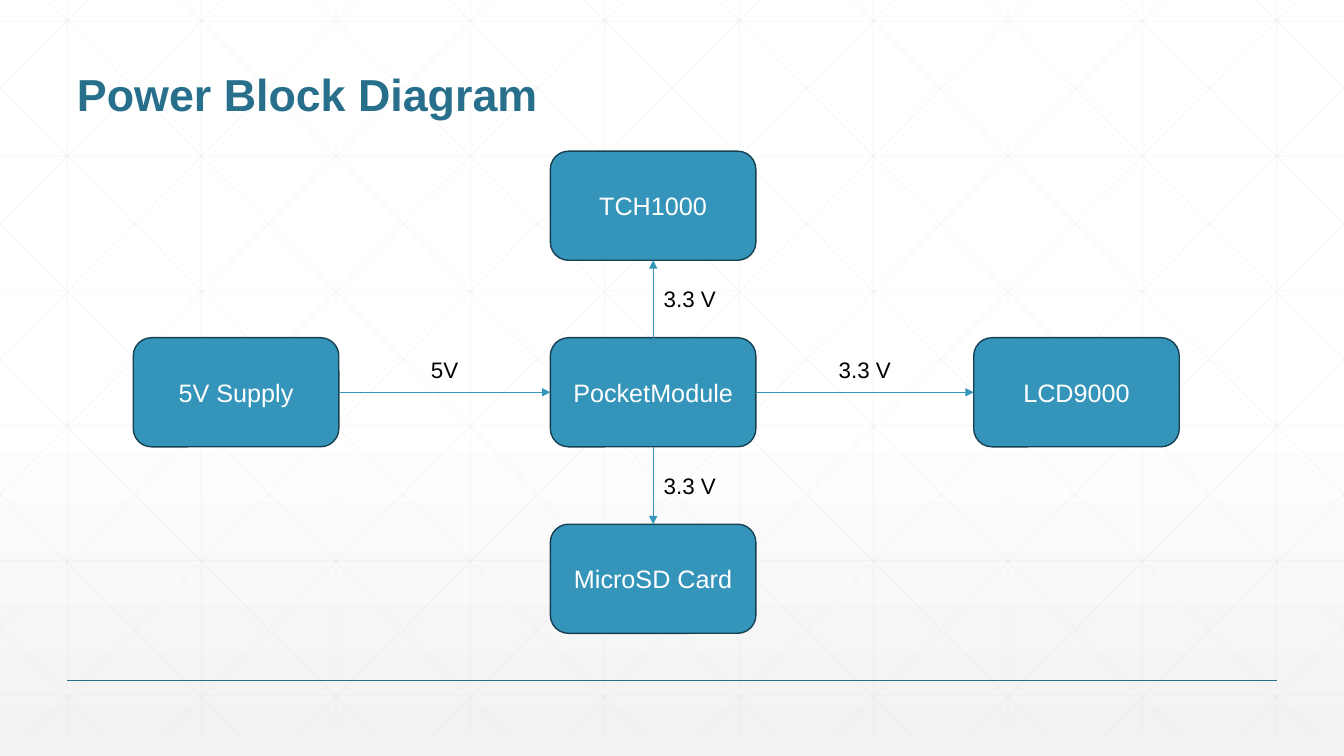
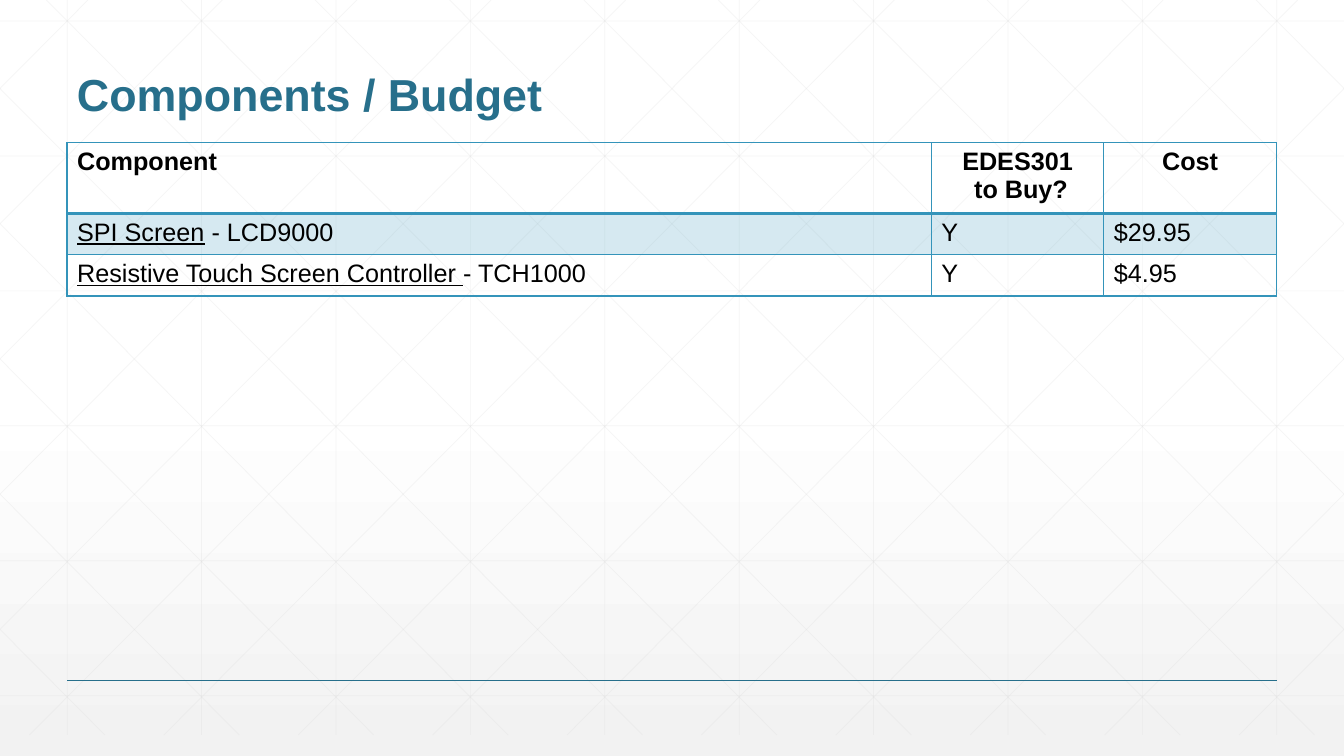
from copy import deepcopy

from lxml.etree import SubElement
from pptx import Presentation
from pptx.dml.color import RGBColor
from pptx.enum.shapes import MSO_CONNECTOR, MSO_SHAPE
from pptx.enum.text import MSO_ANCHOR, PP_ALIGN
from pptx.oxml.ns import qn
from pptx.util import Cm, Pt

COLORS = {
    "title": "276F8B",
    "accent": "3494BA",
    "outline": "174152",
    "grid": "D9D9D9",
    "text": "000000",
    "white": "FFFFFF",
    "shade": "F2F2F2",
}
FONT = "Arial"
WIDTH, HEIGHT = 33.87, 19.05
MARGIN, CONTENT_W = 1.69, 30.48
BOX_W, BOX_H = 5.18, 2.75
LABEL_W, LABEL_H = 1.85, 0.94
TOP, LEFT, BOTTOM, RIGHT = range(4)


def rgb(name):
    return RGBColor.from_string(COLORS[name])


def set_alpha(fill, percent):
    for clr in fill.iter(qn("a:srgbClr")):
        SubElement(clr, qn("a:alpha"), val=str(percent * 1000))


class Deck:
    """Holds the style and the current slide."""

    def __init__(self):
        self.prs = Presentation()
        self.prs.slide_width, self.prs.slide_height = Cm(WIDTH), Cm(HEIGHT)
        self.layout = self.prs.slide_layouts[6]
        for ph in list(self.layout.placeholders):
            ph.element.getparent().remove(ph.element)
        self.s = None
        self.background()

    # Shared backdrop
    def background(self):
        fill = self.layout.background.fill
        fill.gradient()
        fill.gradient_angle = 270
        first = fill.gradient_stops[0]
        first.color.rgb = rgb("white")
        first.position = 0
        gs = self.layout.element.find(".//" + qn("a:gs"))
        gs.addnext(deepcopy(gs))
        middle, last = list(fill.gradient_stops)[1:]
        middle.position = 0.53
        last.color.rgb = rgb("shade")
        last.position = 1

    def lattice(self):
        """Draw the grid and footer rule, then move them to the layout."""
        group = self.s.shapes.add_group_shape()
        pitch, bottom, slope = WIDTH / 10, 18.52, 0.994
        lines = [((k + 0.5) * pitch, 0, (k + 0.5) * pitch, bottom)
                 for k in range(10)]
        lines += [(0, 0.53 + 3.4 * k, WIDTH, 0.53 + 3.4 * k)
                  for k in range(6)]
        for k in range(-5, 10):
            x = 1.17 + pitch * k
            y1 = max(0, -x / slope)
            y2 = min(bottom, (WIDTH - x) / slope)
            x1, x2 = x + slope * y1, x + slope * y2
            lines += [(x1, y1, x2, y2), (WIDTH - x1, y1, WIDTH - x2, y2)]
        for ends in lines:
            c = self.line(group.shapes, ends, "grid", 0.5)
            set_alpha(c.element, 25)
        footer = (MARGIN, 17.15, MARGIN + CONTENT_W, 17.15)
        self.line(group.shapes, footer, "title", 1)
        self.layout.shapes.element.append(group.element)

    # Slide and text
    def slide(self, title):
        self.s = self.prs.slides.add_slide(self.layout)
        if len(self.prs.slides) == 1:
            self.lattice()
        p = self.textbox(MARGIN, 0.64, CONTENT_W, 2.54, MSO_ANCHOR.BOTTOM)
        p.line_spacing = 0.9
        self.run(p, title, 32, "title", bold=True)

    def textbox(self, x, y, w, h, anchor=MSO_ANCHOR.TOP):
        sp = self.s.shapes.add_textbox(Cm(x), Cm(y), Cm(w), Cm(h))
        tf = sp.text_frame
        tf.word_wrap = True
        tf.vertical_anchor = anchor
        return tf.paragraphs[0]

    def run(self, p, text, size=18, color="text", bold=False, underline=False):
        r = p.add_run()
        r.text = text
        r.font.name, r.font.size = FONT, Pt(size)
        r.font.color.rgb = rgb(color)
        r.font.bold, r.font.underline = bold, underline

    # Diagram parts
    def line(self, shapes, ends, color, width):
        c = shapes.add_connector(MSO_CONNECTOR.STRAIGHT, *map(Cm, ends))
        c.line.color.rgb = rgb(color)
        c.line.width = Pt(width)
        SubElement(c.element.spPr, qn("a:effectLst"))
        return c

    def box(self, x, y, text):
        sp = self.s.shapes.add_shape(MSO_SHAPE.ROUNDED_RECTANGLE,
                                     Cm(x), Cm(y), Cm(BOX_W), Cm(BOX_H))
        sp.shadow.inherit = False
        sp.fill.solid()
        sp.fill.fore_color.rgb = rgb("accent")
        sp.line.color.rgb = rgb("outline")
        sp.line.width = Pt(1)
        sp.text_frame.vertical_anchor = MSO_ANCHOR.MIDDLE
        p = sp.text_frame.paragraphs[0]
        p.alignment = PP_ALIGN.CENTER
        self.run(p, text, color="white")
        return sp

    def arrow(self, start, end, side, label):
        """Join two boxes and set the label above or right of the arrow."""
        c = self.line(self.s.shapes, (0, 0, 1, 1), "accent", 0.5)
        c.begin_connect(start, side)
        c.end_connect(end, (side + 2) % 4)
        SubElement(c.element.spPr.find(qn("a:ln")), qn("a:tailEnd"),
                   type="triangle")
        x = (c.begin_x + c.end_x) / 2 / Cm(1)
        y = (c.begin_y + c.end_y) / 2 / Cm(1)
        if side in (LEFT, RIGHT):
            x, y = x - LABEL_W / 2, y - LABEL_H - 0.1
        else:
            y -= LABEL_H / 2
        p = self.textbox(x, y, LABEL_W, LABEL_H)
        p.alignment = PP_ALIGN.CENTER
        self.run(p, label, 16)

    # Table
    def borders(self, cell, widths):
        tcPr = cell._tc.get_or_add_tcPr()
        for side, width in zip("LRTB", widths):
            ln = SubElement(tcPr, qn("a:ln" + side), w=str(Pt(width)))
            fill = SubElement(ln, qn("a:solidFill"))
            SubElement(fill, qn("a:srgbClr"), val=COLORS["accent"])

    def table(self, x, y, widths, heights, rows):
        """Each cell is a list of paragraphs, each a list of runs."""
        frame = self.s.shapes.add_table(len(rows), len(widths), Cm(x), Cm(y),
                                        Cm(sum(widths)), Cm(sum(heights)))
        table = frame.table
        table.first_row = table.horz_banding = False
        for col, w in zip(table.columns, widths):
            col.width = Cm(w)
        for i, (row, h) in enumerate(zip(rows, heights)):
            table.rows[i].height = Cm(h)
            for j, paragraphs in enumerate(row):
                cell = table.cell(i, j)
                self.borders(cell, (1, 1, 2 if i == 1 else 1,
                                    2 if i == 0 else 1))
                if i % 2:
                    cell.fill.solid()
                    cell.fill.fore_color.rgb = rgb("accent")
                    set_alpha(cell._tc.tcPr.find(qn("a:solidFill")), 20)
                else:
                    cell.fill.background()
                tf = cell.text_frame
                for n, runs in enumerate(paragraphs):
                    p = tf.add_paragraph() if n else tf.paragraphs[0]
                    if i == 0 and j > 0:
                        p.alignment = PP_ALIGN.CENTER
                    for text, underline in runs:
                        self.run(p, text, bold=i == 0, underline=underline)


def plain(*lines):
    return [[(text, False)] for text in lines]


def main():
    deck = Deck()

    # Power diagram
    deck.slide("Power Block Diagram")
    mid_x, mid_y, step_y = 13.87, 8.51, 4.7
    card = deck.box(mid_x, mid_y + step_y, "MicroSD Card")
    board = deck.box(mid_x, mid_y, "PocketModule")
    screen = deck.box(24.54, mid_y, "LCD9000")
    supply = deck.box(3.36, mid_y, "5V Supply")
    touch = deck.box(mid_x, mid_y - step_y, "TCH1000")
    deck.arrow(supply, board, RIGHT, "5V")
    for target, side in ((screen, RIGHT), (card, BOTTOM), (touch, TOP)):
        deck.arrow(board, target, side, "3.3 V")

    # Budget table
    deck.slide("Components / Budget")
    deck.table(MARGIN, 3.6, (21.78, 4.35, 4.35), (1.68, 1.04, 1.04), [
        [plain("Component"), plain("EDES301", " to Buy?"), plain("Cost")],
        [[[("SPI Screen", True), (" - LCD9000", False)]],
         plain("Y"), plain("$29.95")],
        [[[("Resistive Touch Screen Controller ", True),
           ("- TCH1000", False)]],
         plain("Y"), plain("$4.95")],
    ])

    deck.prs.save("out.pptx")


if __name__ == "__main__":
    main()
